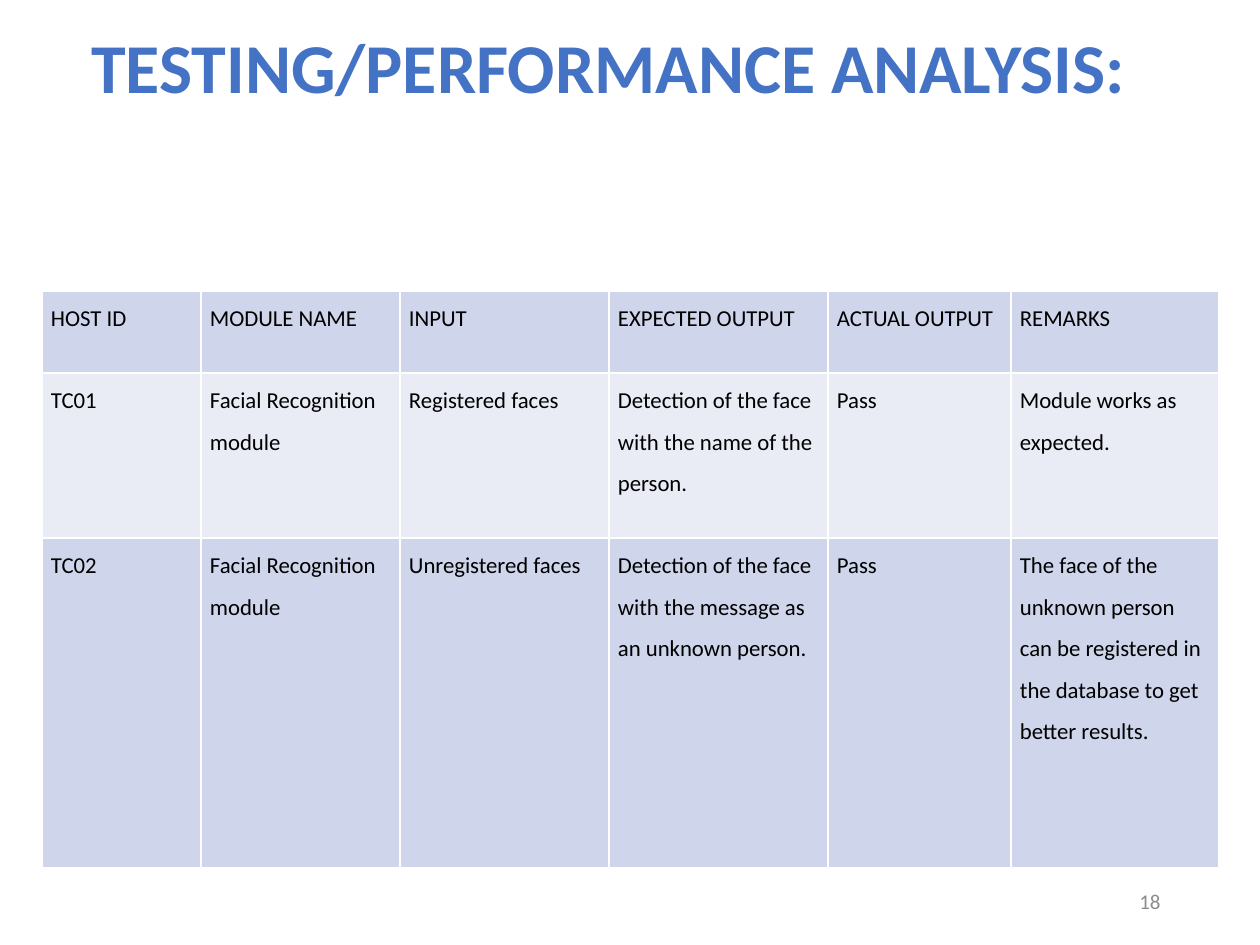
import pptx
import pptx.dml.color
import pptx.enum.text
import pptx.oxml
import pptx.oxml.ns
import pptx.util

TITLE = "TESTING/PERFORMANCE ANALYSIS:"
PAGE_NUMBER = "18"
TEST_CASES = [
    ("HOST ID", "MODULE NAME", "INPUT", "EXPECTED OUTPUT", "ACTUAL OUTPUT", "REMARKS"),
    ("TC01", "Facial Recognition module", "Registered faces",
     "Detection of the face with the name of the person.", "Pass",
     "Module works as expected."),
    ("TC02", "Facial Recognition module", "Unregistered faces",
     "Detection of the face with the message as an unknown person.", "Pass",
     "The face of the unknown person can be registered in the database "
     "to get better results."),
]
COLUMN_WIDTHS = [159, 199, 209, 219, 183, 208]
ROW_HEIGHTS = [82, 165, 330]

COLORS = {"title": "4472C4", "number": "8C8C8C", "text": "000000",
          "band_dark": "CFD5EA", "band_light": "E9EBF5", "border": "FFFFFF"}
FONT = "Calibri"
EMU_PER_PX = 914400 / 126
ALIGN = pptx.enum.text.PP_ALIGN
MIDDLE = pptx.enum.text.MSO_ANCHOR.MIDDLE


def px(length):
    return pptx.util.Emu(round(length * EMU_PER_PX))


def write(frame, text, size, color, bold=False, align=ALIGN.LEFT, spacing=1.0):
    frame.word_wrap = True
    para = frame.paragraphs[0]
    para.alignment = align
    para.line_spacing = spacing
    span = para.add_run()
    span.text = text
    span.font.name = FONT
    span.font.size = pptx.util.Pt(size)
    span.font.bold = bold
    span.font.color.rgb = pptx.dml.color.RGBColor.from_string(COLORS[color])


def add_text(page, place, *args, **style):
    box = page.shapes.add_textbox(*map(px, place))
    box.text_frame.vertical_anchor = MIDDLE
    write(box.text_frame, *args, **style)


def add_borders(cell):
    properties = cell._tc.get_or_add_tcPr()
    for side in ("lnL", "lnR", "lnT", "lnB"):
        properties.append(pptx.oxml.parse_xml(
            f'<a:{side} {pptx.oxml.ns.nsdecls("a")} w="12700"><a:solidFill>'
            f'<a:srgbClr val="{COLORS["border"]}"/></a:solidFill></a:{side}>'))


def add_test_table(page):
    place = (42, 291, sum(COLUMN_WIDTHS), sum(ROW_HEIGHTS))
    table = page.shapes.add_table(
        len(ROW_HEIGHTS), len(COLUMN_WIDTHS), *map(px, place)).table
    for column, width in zip(table.columns, COLUMN_WIDTHS):
        column.width = px(width)
    for index, (row, height, texts) in enumerate(
            zip(table.rows, ROW_HEIGHTS, TEST_CASES)):
        row.height = px(height)
        band = COLORS["band_light" if index % 2 else "band_dark"]
        for cell, text in zip(row.cells, texts):
            cell.margin_left = cell.margin_right = px(9)
            cell.margin_top = cell.margin_bottom = 0
            add_borders(cell)
            cell.fill.solid()
            cell.fill.fore_color.rgb = pptx.dml.color.RGBColor.from_string(band)
            write(cell.text_frame, text, 13, "text", spacing=1.5)


def main():
    deck = pptx.Presentation()
    deck.slide_width, deck.slide_height = px(1260), px(945)
    page = deck.slides.add_slide(deck.slide_layouts[6])

    # Title and page number
    add_text(page, (79, 0, 1094, 142), TITLE, 40, "title", bold=True, spacing=0.9)
    add_text(page, (890, 876, 283, 50), PAGE_NUMBER, 12, "number", align=ALIGN.RIGHT)

    # Test cases
    add_test_table(page)
    deck.save("out.pptx")


if __name__ == "__main__":
    main()
